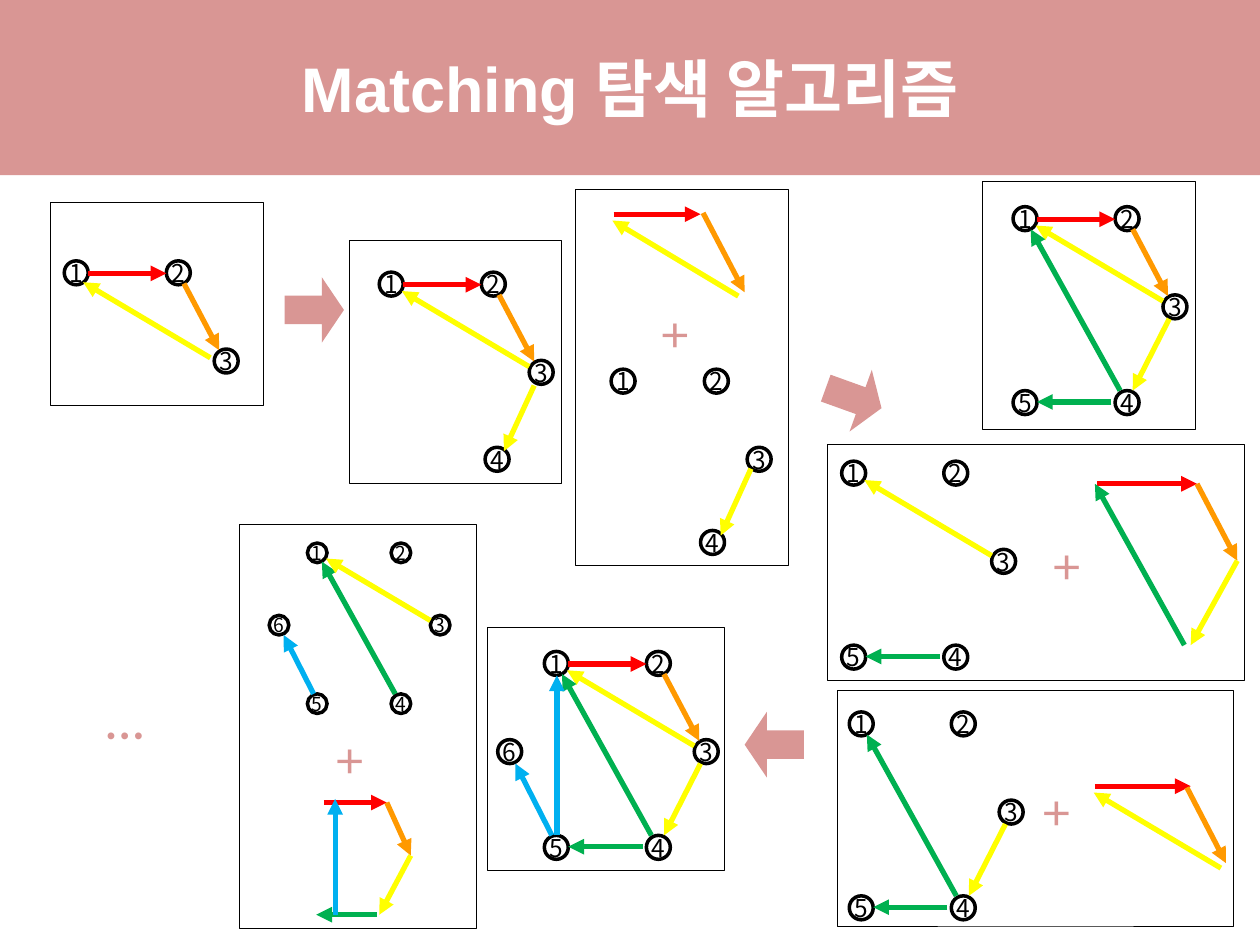
from pptx import Presentation
from pptx import util as u
from pptx.dml.color import RGBColor
from pptx.enum import shapes, text
from pptx.oxml import ns
from lxml import etree

ROSE = RGBColor(0xD9, 0x96, 0x94)
WHITE = RGBColor(0xFF, 0xFF, 0xFF)
BLACK = RGBColor(0, 0, 0)
RED = RGBColor(0xFF, 0, 0)
ORANGE = RGBColor(0xFF, 0x99, 0)
YELLOW = RGBColor(0xFF, 0xFF, 0)
GREEN = RGBColor(0, 0xB0, 0x50)
BLUE = RGBColor(0, 0xB0, 0xF0)

SIZE = 0.19
NODES = {1: (0, 0), 2: (0.81, 0), 3: (1.19, 0.7),
         4: (0.81, 1.46), 5: (0, 1.46), 6: (-0.37, 0.7)}
EDGES = {
    "12": (RED, 0.19, 0.1, 0.81, 0.1),
    "23": (ORANGE, 0.95, 0.18, 1.23, 0.71),
    "34": (YELLOW, 1.24, 0.89, 0.95, 1.46),
    "45": (GREEN, 0.78, 1.55, 0.19, 1.55),
    "56": (BLUE, 0.06, 1.46, -0.23, 0.89),
    "31": (YELLOW, 1.19, 0.75, 0.18, 0.15),
    "41": (GREEN, 0.85, 1.46, 0.14, 0.18),
    "51": (BLUE, 0.1, 1.46, 0.1, 0.19),
}
GRAPHS = [
    (0.51, 2.07, 3, "12 23", 1),
    (3.01, 2.16, 3, "12 23 31", 1),
    (8.04, 1.64, 5, "12 23 34 45 31 41", 1),
    (6.68, 3.66, 5, "45 31", 1),
    (6.74, 5.65, 5, "34 45 41", 1),
    (4.32, 5.17, 6, "12 23 34 45 56 31 41 51", 1),
    (2.44, 4.31, 6, "56 41 31", 0.82),
]
LOOSE = [(1, 4.85, 2.93), (2, 5.59, 2.93), (3, 5.93, 3.55),
         (4, 5.56, 4.21), (4, 3.85, 3.55)]
PATHS = [
    (YELLOW, 1.67, 2.84, 0.66, 2.24),
    (YELLOW, 4.24, 3.06, 4, 3.58),
    (RED, 4.87, 1.7, 5.56, 1.7),
    (ORANGE, 5.58, 1.69, 5.91, 2.32),
    (YELLOW, 5.86, 2.35, 4.86, 1.75),
    (YELLOW, 5.96, 3.72, 5.72, 4.25),
    (RED, 8.71, 3.84, 9.5, 3.84),
    (ORANGE, 9.5, 3.84, 9.82, 4.45),
    (YELLOW, 9.82, 4.45, 9.45, 5.12),
    (GREEN, 9.4, 5.12, 8.69, 3.84),
    (RED, 8.69, 6.24, 9.45, 6.24),
    (ORANGE, 9.42, 6.25, 9.73, 6.85),
    (YELLOW, 9.69, 6.89, 8.68, 6.29),
    (RED, 2.57, 6.37, 3.07, 6.37),
    (ORANGE, 3.07, 6.37, 3.26, 6.79),
    (YELLOW, 3.26, 6.79, 3.01, 7.26),
    (GREEN, 2.99, 7.26, 2.51, 7.26),
    (BLUE, 2.66, 7.26, 2.66, 6.34),
]
FRAMES = [(0.4, 1.61, 1.69, 1.61), (2.77, 1.91, 1.69, 1.93),
          (4.57, 1.5, 1.69, 2.99), (7.8, 1.44, 1.69, 1.97),
          (6.57, 3.53, 3.31, 1.87), (6.65, 5.48, 3.14, 1.87),
          (3.87, 4.98, 1.88, 1.93), (1.9, 4.16, 1.88, 3.21)]
STEPS = [(2.26, 2.2, 0), (6.54, 2.9, 19.8), (5.91, 5.65, 180)]
SIGNS = [("+", 5.13, 2.33, 0.42, 0.64, 32), ("+", 8.24, 4.17, 0.42, 0.64, 32),
         ("+", 2.55, 5.71, 0.4, 0.64, 32), ("+", 8.16, 6.12, 0.4, 0.64, 32),
         ("…", 0.73, 5.32, 0.83, 0.71, 36)]


def style(para, face, size, color, bold=False):
    for run in para.runs:
        run.font.name = face
        run.font.size = u.Pt(size)
        run.font.color.rgb = color
        run.font.bold = bold


def add_title(slide):
    title = slide.shapes.title
    title.left, title.top = u.Inches(0), u.Inches(0)
    title.width, title.height = u.Inches(10), u.Inches(1.39)
    title.fill.solid()
    title.fill.fore_color.rgb = ROSE
    frame = title.text_frame
    frame.text = "Matching 탐색 알고리즘"
    frame.vertical_anchor = text.MSO_ANCHOR.MIDDLE
    para = frame.paragraphs[0]
    para.alignment = text.PP_ALIGN.CENTER
    style(para, "Arial", 36, WHITE, True)


def add_form(slide, kind, box, width=None):
    form = slide.shapes.add_shape(kind, *map(u.Inches, box))
    form.shadow.inherit = False
    if width:
        form.fill.background()
        form.line.color.rgb = BLACK
        form.line.width = u.Pt(width)
    else:
        form.fill.solid()
        form.fill.fore_color.rgb = ROSE
        form.line.fill.background()
    return form


def add_node(slide, num, x, y, scale=1):
    side = SIZE * scale
    node = add_form(slide, shapes.MSO_SHAPE.OVAL, (x, y, side, side), 2)
    frame = node.text_frame
    frame.text = str(num)
    frame.word_wrap = False
    frame.margin_left = frame.margin_right = 0
    frame.margin_top = frame.margin_bottom = 0
    frame.vertical_anchor = text.MSO_ANCHOR.MIDDLE
    para = frame.paragraphs[0]
    para.alignment = text.PP_ALIGN.CENTER
    style(para, "Noto Sans CJK KR", round(14 * scale), BLACK)


def add_edge(slide, color, *ends):
    edge = slide.shapes.add_connector(
        shapes.MSO_CONNECTOR.STRAIGHT, *map(u.Inches, ends))
    edge.line.color.rgb = color
    edge.line.width = u.Pt(3)
    tip = etree.SubElement(edge.line._get_or_add_ln(), ns.qn("a:tailEnd"))
    tip.set("type", "triangle")
    etree.SubElement(edge._element.spPr, ns.qn("a:effectLst"))


def add_graph(slide, x, y, count, links, scale):
    for num in range(1, count + 1):
        dx, dy = NODES[num]
        add_node(slide, num, x + dx * scale, y + dy * scale, scale)
    for link in links.split():
        color, *ends = EDGES[link]
        spots = [base + end * scale for base, end in zip((x, y, x, y), ends)]
        add_edge(slide, color, *spots)


def add_step(slide, x, y, turn):
    step = add_form(slide, shapes.MSO_SHAPE.RIGHT_ARROW, (x, y, 0.47, 0.52))
    step.adjustments[0] = 0.435
    step.adjustments[1] = 0.373
    step.rotation = turn


def add_sign(slide, mark, x, y, w, h, size):
    frame = slide.shapes.add_textbox(*map(u.Inches, (x, y, w, h))).text_frame
    frame.text = mark
    frame.word_wrap = False
    style(frame.paragraphs[0], "Montserrat", size, ROSE)


def main():
    deck = Presentation()
    deck.slide_width, deck.slide_height = u.Inches(10), u.Inches(7.5)
    slide = deck.slides.add_slide(deck.slide_layouts[5])
    add_title(slide)
    for box in FRAMES:
        add_form(slide, shapes.MSO_SHAPE.RECTANGLE, box, 0.5)
    for graph in GRAPHS:
        add_graph(slide, *graph)
    for node in LOOSE:
        add_node(slide, *node)
    for edge in PATHS:
        add_edge(slide, *edge)
    for step in STEPS:
        add_step(slide, *step)
    for sign in SIGNS:
        add_sign(slide, *sign)
    deck.save("out.pptx")


if __name__ == "__main__":
    main()
